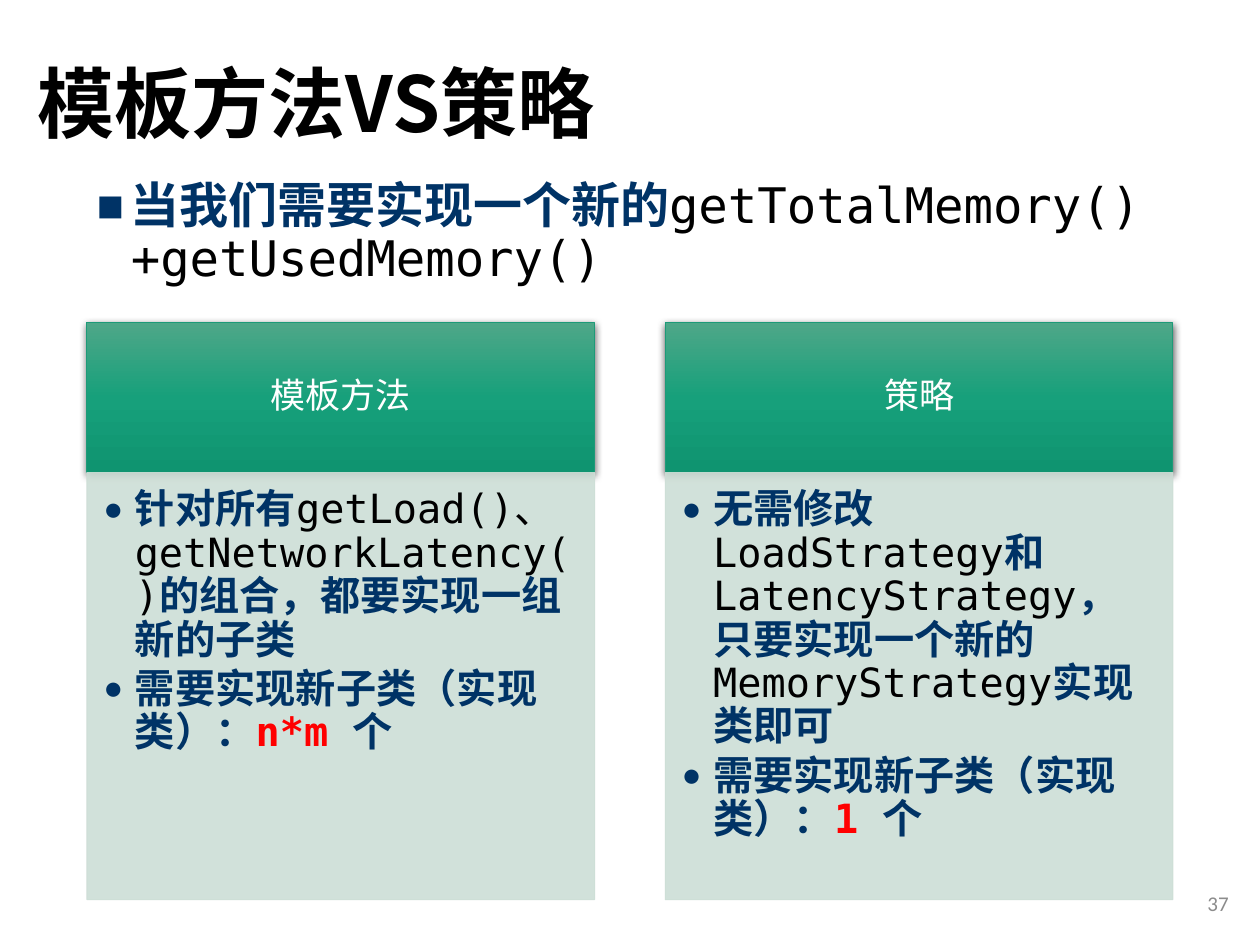
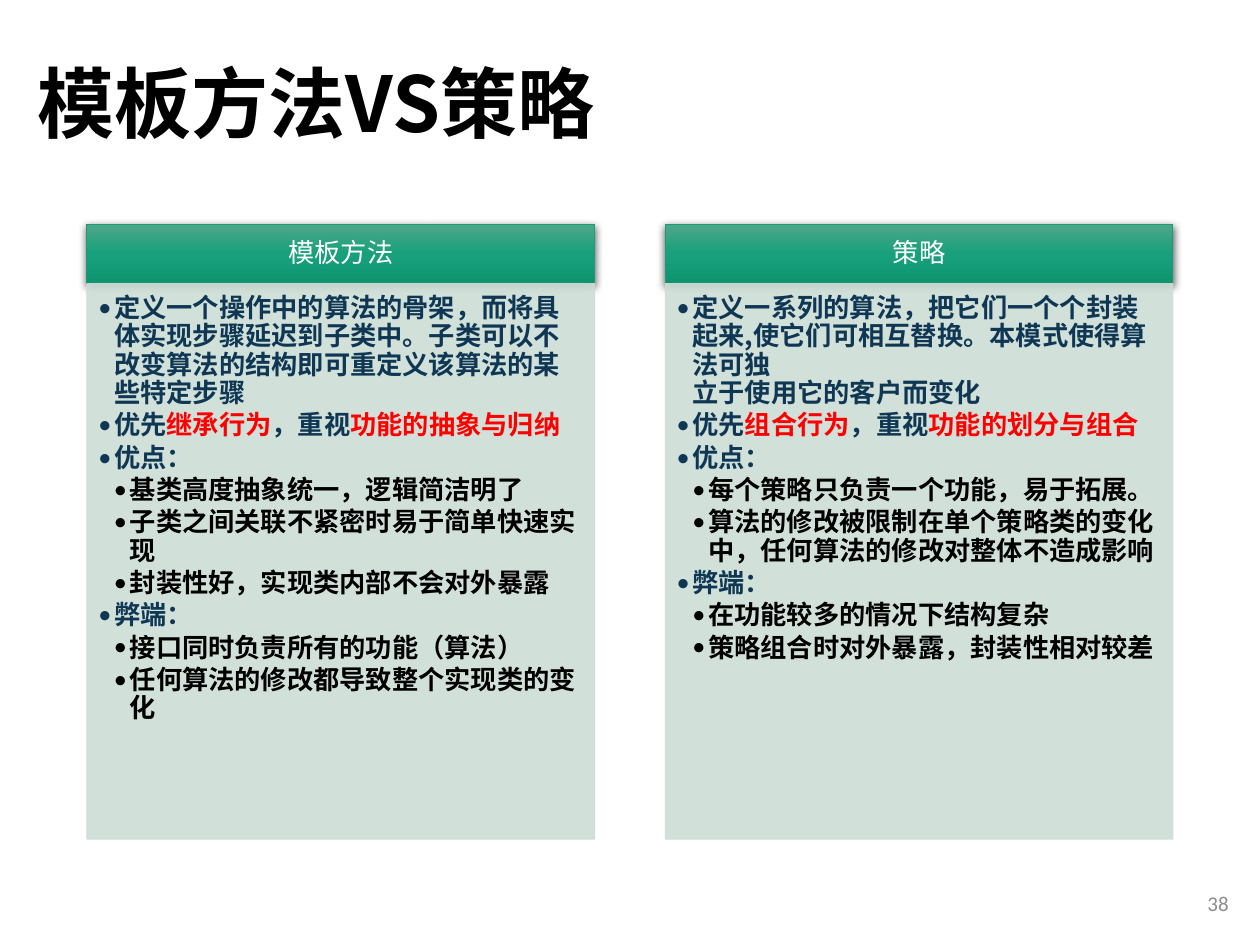
from lxml.etree import SubElement
from pptx import Presentation
from pptx.dml.color import RGBColor
from pptx.enum.shapes import MSO_SHAPE
from pptx.enum.text import MSO_ANCHOR as Anchor, PP_ALIGN as Align
from pptx.oxml.ns import qn
from pptx.util import Inches, Pt

BLACK = RGBColor(0x00, 0x00, 0x00)
WHITE = RGBColor(0xFF, 0xFF, 0xFF)
RED = RGBColor(0xFF, 0x00, 0x00)
GREY = RGBColor(0x8C, 0x8C, 0x8C)
NAVY = RGBColor(0x00, 0x33, 0x66)
INK = RGBColor(0x0F, 0x37, 0x54)
PALE_GREEN = RGBColor(0xCD, 0xDE, 0xD6)
HEADER_EDGE = RGBColor(0x1D, 0x9A, 0x78)
HEADER_GRADIENT = (
    (0, RGBColor(0x4E, 0xA7, 0x88)),
    (50, RGBColor(0x17, 0xA0, 0x7B)),
    (100, RGBColor(0x0F, 0x94, 0x70)),
)

HAN = "Noto Sans CJK SC"
MONO = "DejaVu Sans Mono"
SANS = "Calibri"

TITLE = "模板方法VS策略"
COLUMN_NAMES = ("模板方法", "策略")
COLUMN_LEFT, COLUMN_WIDTH, COLUMN_STEP = 0.69, 4.03, 4.59


def code(text):
    """Describe a run of plain black code."""
    return text, BLACK, False


def alert(text):
    """Describe a run in bold red."""
    return text, RED, True


def add_node(parent, tag, **attributes):
    """Append a DrawingML element with the given attributes."""
    return SubElement(parent, qn(tag), {k: str(v) for k, v in attributes.items()})


def add_color(parent, color, alpha=100):
    """Append an RGB colour with an opacity in percent."""
    node = add_node(parent, "a:srgbClr", val=color)
    if alpha < 100:
        add_node(node, "a:alpha", val=alpha * 1000)


def set_bullet(paragraph, char, font, left, hanging, color, size=100):
    """Give a paragraph a bullet with a hanging indent in inches."""
    properties = paragraph._p.get_or_add_pPr()
    properties.set("marL", str(Inches(left)))
    properties.set("indent", str(-Inches(hanging)))
    add_color(add_node(properties, "a:buClr"), color)
    add_node(properties, "a:buSzPct", val=size * 1000)
    add_node(properties, "a:buFont", typeface=font)
    add_node(properties, "a:buChar", char=char)


def set_font(paragraph, name, size, color, bold=False):
    """Set the font that the runs of a paragraph share."""
    font = paragraph.font
    font.name, font.size, font.bold = name, Pt(size), bold
    font.color.rgb = color
    add_node(font._element, "a:ea", typeface=HAN if name == MONO else name)


def add_runs(paragraph, runs):
    """Add strings, line breaks and (text, colour, bold) runs."""
    for piece in runs:
        if piece == "\n":
            paragraph.add_line_break()
            continue
        run = paragraph.add_run()
        if isinstance(piece, str):
            run.text = piece
        else:
            run.text, run.font.color.rgb, run.font.bold = piece


def set_frame(shape, anchor, insets=(0.1, 0.05, 0.1, 0.05)):
    """Prepare a wrapped text frame and return it."""
    frame = shape.text_frame
    frame.word_wrap = True
    frame.vertical_anchor = anchor
    frame.margin_left, frame.margin_top, frame.margin_right, frame.margin_bottom = map(Inches, insets)
    return frame


def add_text(slide, box, anchor=Anchor.TOP):
    """Add a text box and return its first paragraph."""
    return set_frame(slide.shapes.add_textbox(*map(Inches, box)), anchor).paragraphs[0]


def add_box(slide, box, edge):
    """Add an unshadowed rectangle with a thin edge."""
    shape = slide.shapes.add_shape(MSO_SHAPE.RECTANGLE, *map(Inches, box))
    shape.shadow.inherit = False
    shape.line.color.rgb = edge
    shape.line.width = Pt(0.5)
    return shape


def add_header(slide, box, name, size, insets):
    """Add a column header with a green gradient and a soft shadow."""
    header = add_box(slide, box, HEADER_EDGE)
    header.fill.gradient()
    header.fill.gradient_angle = 270
    properties = header._element.spPr
    stops = properties.find(".//" + qn("a:gsLst"))
    stops.clear()
    for position, color in HEADER_GRADIENT:
        add_color(add_node(stops, "a:gs", pos=position * 1000), color)
    shadow = add_node(properties.find(qn("a:effectLst")), "a:outerShdw", blurRad=Pt(4.5),
                      dist=Pt(1.5), dir=5400000, algn="ctr", rotWithShape=0)
    add_color(shadow, BLACK, 63)
    paragraph = set_frame(header, Anchor.MIDDLE, insets).paragraphs[0]
    paragraph.alignment = Align.CENTER
    paragraph.line_spacing = 0.9
    set_font(paragraph, HAN, size, WHITE)
    add_runs(paragraph, [name])


def add_body(slide, box, items, font, size, color, hanging, insets):
    """Add a pale column body with (level, runs) bullet items."""
    body = add_box(slide, box, PALE_GREEN)
    body.fill.solid()
    body.fill.fore_color.rgb = PALE_GREEN
    for tint in body._element.spPr.iter(qn("a:srgbClr")):
        add_node(tint, "a:alpha", val=90000)
    frame = set_frame(body, Anchor.TOP, insets)
    for index, (level, *runs) in enumerate(items):
        paragraph = frame.add_paragraph() if index else frame.paragraphs[0]
        paragraph.level = level
        paragraph.alignment = Align.LEFT
        paragraph.line_spacing = 0.9
        paragraph.space_after = Pt(size * 0.15)
        item_color = color if level == 1 else BLACK
        set_bullet(paragraph, "•", SANS, hanging * level, hanging, item_color)
        set_font(paragraph, font, size, item_color, True)
        add_runs(paragraph, runs)


def add_comparison(slide, top, header_height, body_height, columns, header_style, body_style):
    """Add the two columns, each a header above a body."""
    for index, (name, items) in enumerate(zip(COLUMN_NAMES, columns)):
        left = COLUMN_LEFT + index * COLUMN_STEP
        add_header(slide, (left, top, COLUMN_WIDTH, header_height), name, **header_style)
        add_body(slide, (left, top + header_height, COLUMN_WIDTH, body_height), items, **body_style)


def add_page(deck, number):
    """Add a blank slide with the shared title and page number."""
    slide = deck.slides.add_slide(deck.slide_layouts[6])
    title = add_text(slide, (0.2, 0.13, 8.62, 1.45), Anchor.MIDDLE)
    title.line_spacing = 0.9
    set_font(title, HAN, 44, BLACK, True)
    add_runs(title, [TITLE])
    page_number = add_text(slide, (7.6, 6.97, 2.25, 0.4), Anchor.MIDDLE)
    page_number.alignment = Align.RIGHT
    set_font(page_number, SANS, 12, GREY)
    add_runs(page_number, [str(number)])
    return slide


def add_extension_slide(deck):
    """Compare the cost of adding a new measure."""
    slide = add_page(deck, 37)
    task = add_text(slide, (0.69, 1.39, 8.62, 1.1))
    task.line_spacing = 0.9
    task.space_before = Pt(10)
    set_bullet(task, "■", MONO, 0.25, 0.25, NAVY, 75)
    set_font(task, MONO, 28, NAVY, True)
    add_runs(task, ["当我们需要实现一个新的", code("getTotalMemory()+getUsedMemory()")])

    subclasses = "需要实现新子类（实现类）："
    template = [
        (1, "针对所有", code("getLoad()、getNetworkLatency()"), "的组合，都要实现一组新的子类"),
        (1, subclasses, alert("n*m "), "个"),
    ]
    strategy = [
        (1, "无需修改", code("LoadStrategy"), "和", code("LatencyStrategy"),
         "，只要实现一个新的", code("MemoryStrategy"), "实现类即可"),
        (1, subclasses, alert("1 "), "个"),
    ]
    add_comparison(
        slide, 2.56, 1.19, 3.39, (template, strategy),
        dict(size=20, insets=(0.16, 0.09, 0.16, 0.09)),
        dict(font=MONO, size=23, color=NAVY, hanging=0.25, insets=(0.13, 0.13, 0.18, 0.2)),
    )


def add_summary_slide(deck):
    """Compare definitions, strengths and weaknesses."""
    slide = add_page(deck, 38)
    template = [
        (1, "定义一个操作中的算法的骨架，而将具体实现步骤延迟到子类中。"
            "子类可以不改变算法的结构即可重定义该算法的某些特定步骤"),
        (1, "优先", alert("继承行为"), "，重视", alert("功能的抽象与归纳")),
        (1, "优点："),
        (2, "基类高度抽象统一，逻辑简洁明了"),
        (2, "子类之间关联不紧密时易于简单快速实现"),
        (2, "封装性好，实现类内部不会对外暴露"),
        (1, "弊端："),
        (2, "接口同时负责所有的功能（算法）"),
        (2, "任何算法的修改都导致整个实现类的变化"),
    ]
    strategy = [
        (1, "定义一系列的算法，把它们一个个封装起来,使它们可相互替换。本模式使得算法可独",
         "\n", "立于使用它的客户而变化"),
        (1, "优先", alert("组合行为"), "，重视", alert("功能的划分与组合")),
        (1, "优点："),
        (2, "每个策略只负责一个功能，易于拓展。"),
        (2, "算法的修改被限制在单个策略类的变化中，任何算法的修改对整体不造成影响"),
        (1, "弊端："),
        (2, "在功能较多的情况下结构复杂"),
        (2, "策略组合时对外暴露，封装性相对较差"),
    ]
    add_comparison(
        slide, 1.78, 0.47, 4.41, (template, strategy),
        dict(size=15, insets=(0.12, 0.07, 0.12, 0.07)),
        dict(font=HAN, size=15, color=INK, hanging=0.125, insets=(0.09, 0.09, 0.12, 0.13)),
    )


def main():
    """Build both comparison slides and save the deck."""
    deck = Presentation()
    deck.slide_width, deck.slide_height = Inches(10), Inches(7.5)
    add_extension_slide(deck)
    add_summary_slide(deck)
    deck.save("out.pptx")


if __name__ == "__main__":
    main()
